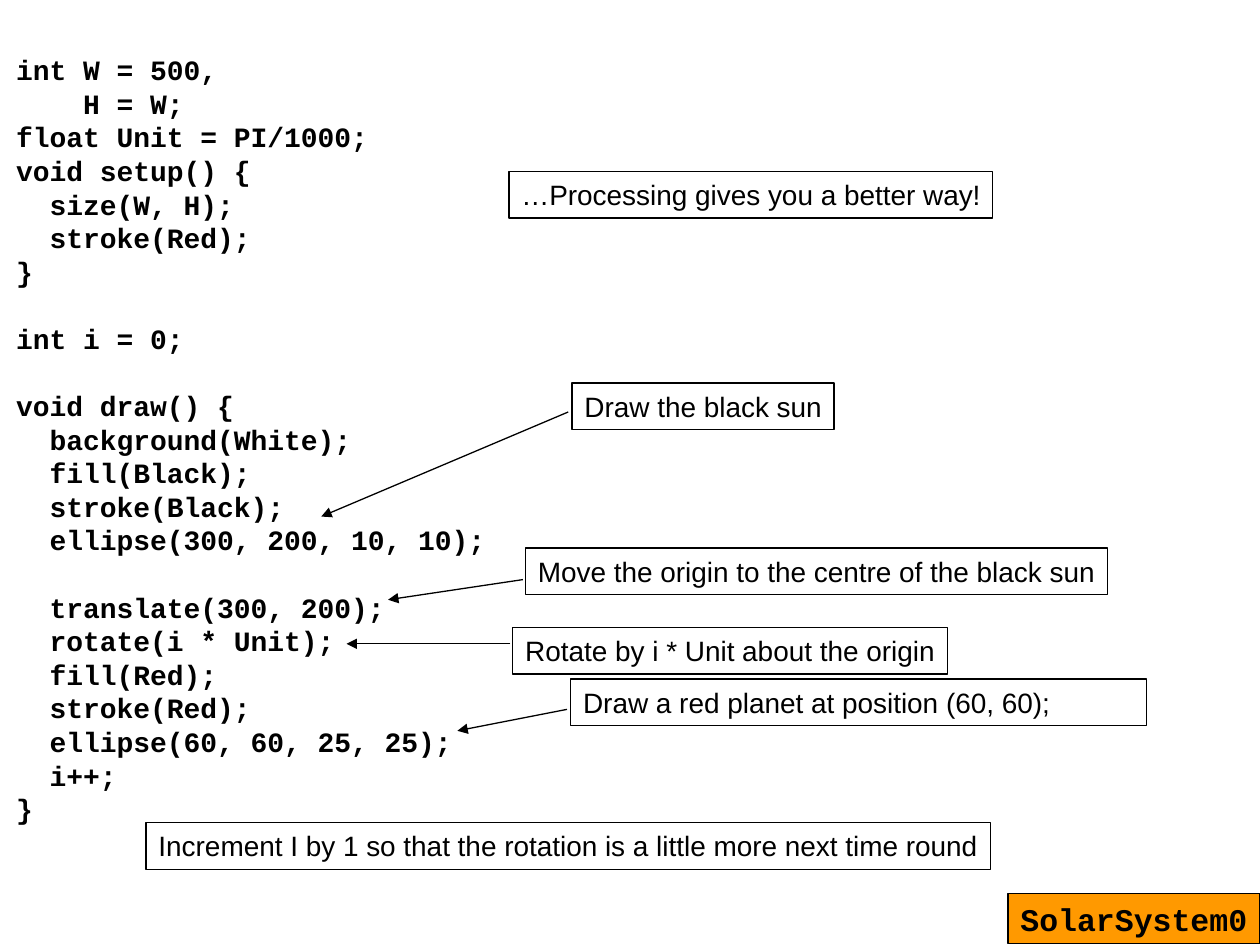
"""Build the annotated solar system code slide."""
from typing import NamedTuple

from lxml.etree import SubElement
from pptx import Presentation
from pptx.dml.color import RGBColor
from pptx.enum.shapes import MSO_CONNECTOR, MSO_SHAPE
from pptx.enum.text import MSO_ANCHOR, MSO_AUTO_SIZE, PP_ALIGN
from pptx.oxml.ns import qn
from pptx.util import Inches, Pt

BLACK = "000000"
ORANGE = "FF9900"
CODE_FONT = "Courier New"
LINE_FACTOR = 1.2
LABEL_HEIGHT = 0.37

CODE = """int W = 500,
    H = W;
float Unit = PI/1000;
void setup() {
  size(W, H);
  stroke(Red);
}

int i = 0;

void draw() {
  background(White);
  fill(Black);
  stroke(Black);
  ellipse(300, 200, 10, 10);

  translate(300, 200);
  rotate(i * Unit);
  fill(Red);
  stroke(Red);
  ellipse(60, 60, 25, 25);
  i++;
}"""


class Label(NamedTuple):
    """A bordered box holding one line of text."""
    text: str
    left: float
    top: float
    width: float


class Arrow(NamedTuple):
    """A pointer from a label to its line of code."""
    start: tuple[float, float]
    end: tuple[float, float]


LABELS = [
    Label("…Processing gives you a better way!", 4.04, 1.36, 3.84),
    Label("Draw the black sun", 4.54, 3.04, 2.08),
    Label("Move the origin to the centre of the black sun", 4.17, 4.35, 4.62),
    Label("Rotate by i * Unit about the origin", 4.07, 4.98, 3.45),
    Label("Draw a red planet at position (60, 60);", 4.53, 5.39, 4.57),
    Label("Increment I by 1 so that the rotation is a little more next time round",
          1.16, 6.53, 6.7),
]
ARROWS = [
    Arrow((4.51, 3.27), (2.55, 4.1)),
    Arrow((4.15, 4.6), (3.08, 4.76)),
    Arrow((4.05, 5.11), (2.75, 5.11)),
    Arrow((4.5, 5.63), (3.63, 5.8)),
]


def color(value: str) -> RGBColor:
    """Turn a hex string into a colour."""
    return RGBColor.from_string(value)


def write_text(shape, text: str, *, font: str = "Arial", size: float = 16,
               bold: bool = False) -> None:
    """Write lines as paragraphs, turning each empty line into space before the next."""
    frame = shape.text_frame
    frame.word_wrap = True
    frame.margin_right = 0
    frame.auto_size = MSO_AUTO_SIZE.NONE
    frame.vertical_anchor = MSO_ANCHOR.TOP
    pitch = Pt(size * LINE_FACTOR)
    gap = 0
    para = None
    for line in text.splitlines():
        if not line:
            gap += pitch
            continue
        para = frame.paragraphs[0] if para is None else frame.add_paragraph()
        para.alignment = PP_ALIGN.LEFT
        para.line_spacing = pitch
        para.space_before = gap
        gap = 0
        span = para.add_run()
        span.text = line
        span.font.name = font
        span.font.size = Pt(size)
        span.font.bold = bold
        span.font.color.rgb = color(BLACK)


def draw_label(slide, label: Label, *, height: float = LABEL_HEIGHT,
               fill: str | None = None, **text_format) -> None:
    """Draw a bordered box with its text."""
    box = slide.shapes.add_shape(
        MSO_SHAPE.RECTANGLE, Inches(label.left), Inches(label.top),
        Inches(label.width), Inches(height))
    box.shadow.inherit = False
    if fill:
        box.fill.solid()
        box.fill.fore_color.rgb = color(fill)
    else:
        box.fill.background()
    box.line.color.rgb = color(BLACK)
    box.line.width = Pt(0.75)
    write_text(box, label.text, **text_format)


def draw_arrow(slide, arrow: Arrow) -> None:
    """Draw a thin line with a triangular head at its end."""
    ends = [Inches(value) for value in (*arrow.start, *arrow.end)]
    connector = slide.shapes.add_connector(MSO_CONNECTOR.STRAIGHT, *ends)
    connector.line.color.rgb = color(BLACK)
    connector.line.width = Pt(0.75)
    properties = connector._element.spPr
    SubElement(properties.get_or_add_ln(), qn("a:tailEnd"), type="triangle")
    SubElement(properties, qn("a:effectLst"))


def main() -> None:
    """Assemble and save the deck."""
    deck = Presentation()
    deck.slide_width, deck.slide_height = Inches(10), Inches(7.5)
    page = deck.slides.add_slide(deck.slide_layouts[6])
    code_box = page.shapes.add_textbox(
        Inches(0.03), Inches(0.37), Inches(4.06), Inches(6.23))
    write_text(code_box, CODE, font=CODE_FONT, bold=True)
    for label in LABELS:
        draw_label(page, label)
    for arrow in ARROWS:
        draw_arrow(page, arrow)
    draw_label(page, Label("SolarSystem0", 8, 7.09, 2), height=0.4,
               fill=ORANGE, font=CODE_FONT, size=18, bold=True)
    deck.save("out.pptx")


if __name__ == "__main__":
    main()
